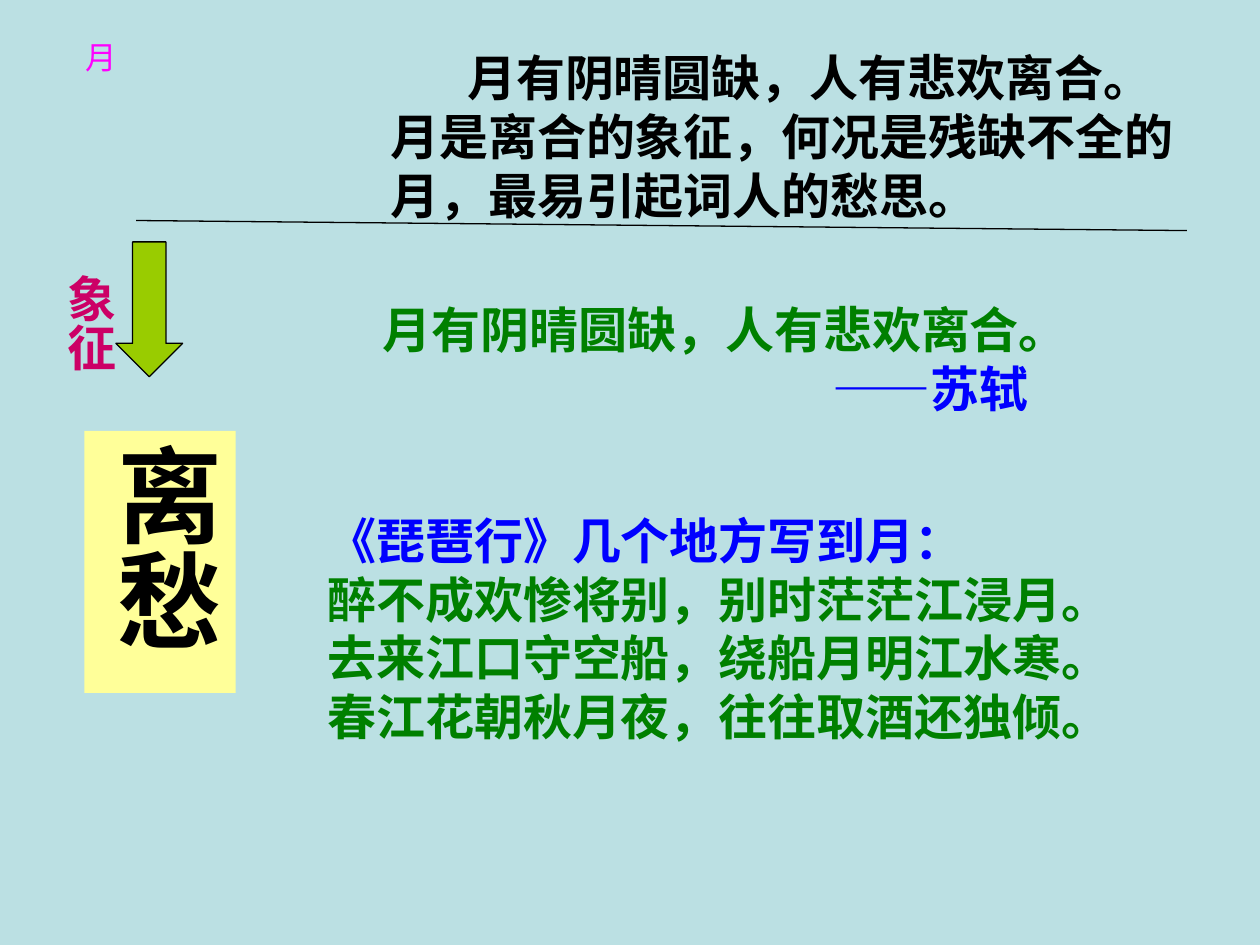
"""Build the slide on the moon as a symbol of parting sorrow."""
from dataclasses import dataclass

from lxml.etree import SubElement
from pptx import Presentation
from pptx.dml.color import RGBColor
from pptx.enum.shapes import MSO_CONNECTOR, MSO_SHAPE
from pptx.enum.text import MSO_ANCHOR, PP_ALIGN
from pptx.oxml.ns import qn
from pptx.shapes.autoshape import Shape
from pptx.slide import Slide
from pptx.util import Inches, Pt

BACKGROUND = RGBColor(0xBB, 0xE0, 0xE3)
BLACK = RGBColor(0, 0, 0)
GREEN = RGBColor(0, 0x80, 0)
BLUE = RGBColor(0, 0, 0xFF)
CRIMSON = RGBColor(0xCC, 0, 0x66)
MAGENTA = RGBColor(0xFF, 0, 0xFF)
LIME = RGBColor(0x99, 0xCC, 0)
YELLOW = RGBColor(0xFF, 0xFF, 0x99)
EAST_ASIAN_FONT = "Noto Sans CJK SC"


@dataclass(frozen=True)
class Line:
    text: str
    color: RGBColor
    indent: float = 0


@dataclass(frozen=True)
class TextBlock:
    box: tuple[float, float, float, float]
    lines: tuple[Line, ...]
    size: int = 28
    bold: bool = True
    font: str = "Arial"
    wrap: bool = True
    vertical: bool = False
    fill: RGBColor | None = None


BLOCKS = (
    TextBlock((2.94, 2.33, 5.63, 1.5), (
        Line("月有阴晴圆缺，人有悲欢离合。", GREEN),
        Line("——苏轼", BLUE, 3.57),
    ), wrap=False),
    TextBlock((3, 0.33, 6.5, 1.5), (
        Line("月有阴晴圆缺，人有悲欢离合。月是离合的象征，何况是残缺不全的月，最易引起词人的愁思。", BLACK, 0.61),
    )),
    TextBlock((0.34, 2.08, 0.66, 1.17), (Line("象征", CRIMSON),),
              font="DejaVu Sans", vertical=True),
    TextBlock((0.67, 3.42, 1.2, 2.08), (Line("离愁", BLACK),),
              size=60, font="DejaVu Sans", vertical=True, fill=YELLOW),
    TextBlock((0.58, 0.25, 1.33, 1.5), (Line("月", MAGENTA),),
              size=18, bold=False, font=EAST_ASIAN_FONT, wrap=False),
    TextBlock((2.5, 4, 6.92, 2.68), (
        Line("《琵琶行》几个地方写到月：", BLUE),
        Line("醉不成欢惨将别，别时茫茫江浸月。", GREEN),
        Line("去来江口守空船，绕船月明江水寒。", GREEN),
        Line("春江花朝秋月夜，往往取酒还独倾。", GREEN),
    )),
)


def set_attributes(target: object, values: dict[str, object]) -> None:
    for name, value in values.items():
        setattr(target, name, value)


def write_lines(shape: Shape, block: TextBlock) -> None:
    frame = shape.text_frame
    side, end = (0.05, 0.1) if block.vertical else (0.1, 0.05)
    set_attributes(frame, {
        "word_wrap": block.wrap,
        "vertical_anchor": MSO_ANCHOR.TOP,
        "margin_left": Inches(side),
        "margin_right": Inches(side),
        "margin_top": Inches(end),
        "margin_bottom": Inches(end),
    })
    if block.vertical:
        frame._txBody.bodyPr.set("vert", "eaVert")
    for index, line in enumerate(block.lines):
        paragraph = frame.add_paragraph() if index else frame.paragraphs[0]
        paragraph.alignment = PP_ALIGN.CENTER if block.vertical else PP_ALIGN.LEFT
        if line.indent:
            paragraph._p.get_or_add_pPr().set("indent", str(Inches(line.indent)))
        run = paragraph.add_run()
        run.text = line.text
        set_attributes(run.font, {"size": Pt(block.size), "bold": block.bold, "name": block.font})
        run.font.color.rgb = line.color
        SubElement(run._r.get_or_add_rPr(), qn("a:ea"), typeface=EAST_ASIAN_FONT)


def add_block(slide: Slide, block: TextBlock) -> None:
    box = [Inches(length) for length in block.box]
    if block.fill is None:
        shape = slide.shapes.add_textbox(*box)
    else:
        shape = slide.shapes.add_shape(MSO_SHAPE.RECTANGLE, *box)
        shape.shadow.inherit = False
        shape.fill.solid()
        shape.fill.fore_color.rgb = block.fill
        shape.line.fill.background()
    write_lines(shape, block)


def add_symbol_arrow(slide: Slide) -> None:
    arrow = slide.shapes.add_shape(
        MSO_SHAPE.DOWN_ARROW, Inches(0.92), Inches(1.92), Inches(0.53), Inches(1.07))
    arrow.shadow.inherit = False
    arrow.fill.solid()
    arrow.fill.fore_color.rgb = LIME
    arrow.line.color.rgb = BLACK
    arrow.line.width = Pt(0.75)


def add_divider(slide: Slide) -> None:
    divider = slide.shapes.add_connector(
        MSO_CONNECTOR.STRAIGHT, Inches(1.08), Inches(1.75), Inches(9.42), Inches(1.83))
    divider.line.color.rgb = BLACK
    divider.line.width = Pt(0.75)
    SubElement(divider._element.spPr, qn("a:effectLst"))


def main() -> None:
    presentation = Presentation()
    set_attributes(presentation, {"slide_width": Inches(10), "slide_height": Inches(7.5)})
    slide = presentation.slides.add_slide(presentation.slide_layouts[6])
    slide.background.fill.solid()
    slide.background.fill.fore_color.rgb = BACKGROUND
    add_symbol_arrow(slide)
    add_divider(slide)
    for block in BLOCKS:
        add_block(slide, block)
    presentation.save("out.pptx")


if __name__ == "__main__":
    main()
